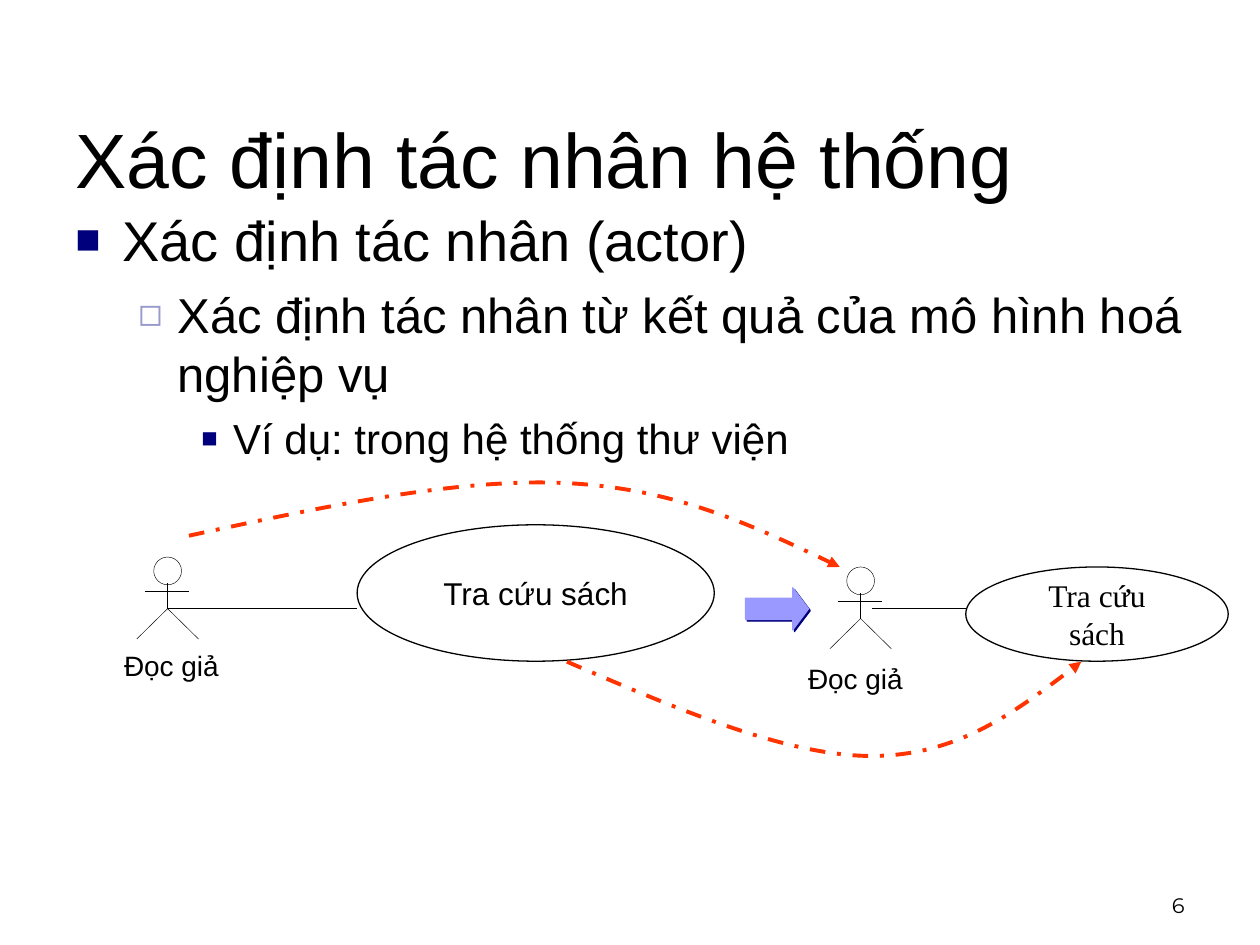
import dataclasses
import typing

import lxml.etree
import pptx
import pptx.dml.color
import pptx.enum.dml
import pptx.enum.shapes
import pptx.enum.text
import pptx.oxml.ns
import pptx.util

Cm, Pt = pptx.util.Cm, pptx.util.Pt
RGB = pptx.dml.color.RGBColor
KIND = pptx.enum.shapes.MSO_SHAPE
ALIGN = pptx.enum.text.PP_ALIGN
ANCHOR = pptx.enum.text.MSO_ANCHOR
qn = pptx.oxml.ns.qn

BLACK = RGB(0, 0, 0)
NAVY = RGB(0x00, 0x00, 0x7D)
LILAC = RGB(0x99, 0x99, 0xCC)
VIOLET = RGB(0x99, 0x99, 0xFF)
ORANGE = RGB(0xFF, 0x33, 0x00)

Point = tuple[float, float]
Box = tuple[float, float, float, float]


@dataclasses.dataclass
class Bullet:
    text: str
    size: int
    left: float
    hang: float
    before: int
    mark: str
    color: RGB
    scale: int


@dataclasses.dataclass
class Actor:
    mid: float
    top: float
    label: Point


@dataclasses.dataclass
class Case:
    box: Box
    font: str
    wrap: bool


BULLETS = [
    Bullet("Xác định tác nhân (actor)", 32, 0.95, 0.95, 8, "■", NAVY, 75),
    Bullet("Xác định tác nhân từ kết quả của mô hình hoá nghiệp vụ",
           28, 2.06, 0.79, 7, "◻", LILAC, 80),
    Bullet("Ví dụ: trong hệ thống thư viện", 24, 3.18, 0.64, 6, "■", NAVY, 65),
]
ACTORS = [Actor(3.38, 11.23, (1.65, 13.08)), Actor(17.35, 11.43, (15.44, 13.34))]
CASES = [
    Case((7.2, 10.58, 7.2, 2.75), "Arial", False),
    Case((19.47, 11.43, 5.29, 1.9), "Times New Roman", True),
]
LINKS = [((3.38, 12.27), (7.2, 12.27)), ((17.58, 12.27), (19.47, 12.27))]
# Each curve is a start followed by triples of Bezier points
CURVES = [
    [(3.81, 10.8), (6.53, 10.21), (9.25, 9.63), (11.43, 9.74),
     (13.61, 9.85), (15.27, 10.64), (16.93, 11.43)],
    [(11.43, 13.34), (13.64, 14.29), (15.85, 15.24), (17.57, 15.24),
     (19.29, 15.24), (20.55, 14.29), (21.8, 13.34)],
]


def add(parent: typing.Any, tag: str, **attrs: typing.Any) -> typing.Any:
    values = {key: str(val) for key, val in attrs.items()}
    return lxml.etree.SubElement(parent, qn(tag), values)


def cms(values: typing.Iterable[float]) -> list[int]:
    return [Cm(val) for val in values]


def write(frame: typing.Any, text: str, size: int, font: str = "Arial",
          align: typing.Any = ALIGN.CENTER, **form: typing.Any) -> None:
    for key, val in form.items():
        setattr(frame, key, val)
    par = frame.paragraphs[0]
    par.alignment = align
    style(par, text, size, font)


def style(par: typing.Any, text: str, size: int, font: str) -> None:
    run = par.add_run()
    run.text = text
    for key, val in {"size": Pt(size), "name": font}.items():
        setattr(run.font, key, val)
    run.font.color.rgb = BLACK


def outline(shape: typing.Any, width: float, color: RGB = BLACK) -> None:
    shape.shadow.inherit = False
    shape.fill.background()
    shape.line.color.rgb = color
    shape.line.width = Pt(width)


def join(shapes: typing.Any, start: Point, end: Point, width: float) -> None:
    line = shapes.add_connector(pptx.enum.shapes.MSO_CONNECTOR.STRAIGHT,
                                *cms(start + end))
    line.line.color.rgb = BLACK
    line.line.width = Pt(width)
    add(line._element.spPr, "a:effectLst")


def trace(shapes: typing.Any, points: list[Point]) -> typing.Any:
    first, *rest = [cms(point) for point in points]
    pen = shapes.build_freeform(*first)
    pen.add_line_segments(rest, close=False)
    return pen.convert_to_shape()


def draw_actor(shapes: typing.Any, actor: Actor) -> None:
    x, top = actor.mid, actor.top
    parts = shapes.add_group_shape().shapes
    head = parts.add_shape(KIND.OVAL, *cms((x - 0.28, top, 0.56, 0.56)))
    outline(head, 0.25)
    join(parts, (x, top + 0.53), (x, top + 1.04), 0.25)
    join(parts, (x - 0.46, top + 0.69), (x + 0.43, top + 0.69), 0.25)
    hip, foot = top + 1.04, top + 1.65
    outline(trace(parts, [(x - 0.62, foot), (x, hip), (x + 0.62, foot)]), 0.25)
    label = shapes.add_textbox(*cms(actor.label + (3.61, 0.69)))
    write(label.text_frame, "Đọc giả", 16, word_wrap=True, margin_left=0,
          margin_right=0, margin_top=0, margin_bottom=0)


def draw_case(shapes: typing.Any, case: Case) -> None:
    oval = shapes.add_shape(KIND.OVAL, *cms(case.box))
    outline(oval, 0.75)
    write(oval.text_frame, "Tra cứu sách", 18, case.font,
          word_wrap=case.wrap, vertical_anchor=ANCHOR.MIDDLE)


def draw_curve(shapes: typing.Any, points: list[Point]) -> None:
    curve = trace(shapes, points)
    outline(curve, 2.25, ORANGE)
    curve.line.dash_style = pptx.enum.dml.MSO_LINE.DASH_DOT
    add(curve.line._get_or_add_ln(), "a:tailEnd", type="triangle")
    # Turn every three straight segments into one cubic Bezier
    steps = curve._element.xpath(".//a:lnTo")
    track = steps[0].getparent()
    for i in range(0, len(steps), 3):
        bend = add(track, "a:cubicBezTo")
        for step in steps[i:i + 3]:
            bend.append(step[0])
            track.remove(step)


def add_bullet(par: typing.Any, item: Bullet, level: int) -> None:
    par.level = level
    par.space_before = Pt(item.before)
    props = par._p.get_or_add_pPr()
    props.set("marL", str(Cm(item.left)))
    props.set("indent", str(-Cm(item.hang)))
    add(add(props, "a:buClr"), "a:srgbClr", val=item.color)
    add(props, "a:buSzPct", val=item.scale * 1000)
    add(props, "a:buFont", typeface="Arial")
    add(props, "a:buChar", char=item.mark)
    style(par, item.text, item.size, "Arial")


def main() -> None:
    deck = pptx.Presentation()
    deck.slide_width, deck.slide_height = cms((25.4, 19.05))
    slide = deck.slides.add_slide(deck.slide_layouts[5])
    shapes = slide.shapes

    # Title
    title = shapes.title
    title.left, title.top, title.width, title.height = cms((1.27, 1.27, 22.86, 3.81))
    write(title.text_frame, "Xác định tác nhân hệ thống", 44, align=ALIGN.LEFT,
          vertical_anchor=ANCHOR.MIDDLE)

    # Bullets
    body = shapes.add_textbox(*cms((1.27, 4.01, 22.86, 10.8))).text_frame
    body.word_wrap = True
    for level, item in enumerate(BULLETS):
        par = body.add_paragraph() if level else body.paragraphs[0]
        add_bullet(par, item, level)

    # Slide number
    number = shapes.add_textbox(*cms((18.21, 17.35, 5.92, 1.27)))
    write(number.text_frame, "6", 12, "Montserrat", ALIGN.RIGHT,
          word_wrap=True, vertical_anchor=ANCHOR.BOTTOM)

    # Actors, use cases and their links
    for actor, case, link in zip(ACTORS, CASES, LINKS):
        draw_actor(shapes, actor)
        draw_case(shapes, case)
        join(shapes, *link, 0.75)

    # Block arrow with a hard shadow
    arrow = shapes.add_shape(KIND.RIGHT_ARROW, *cms((15.03, 11.85, 1.27, 0.85)))
    arrow.adjustments[1] = 0.375
    outline(arrow, 0.75, VIOLET)
    arrow.fill.solid()
    arrow.fill.fore_color.rgb = VIOLET
    effects = arrow._element.spPr.find(qn("a:effectLst"))
    shade = add(effects, "a:outerShdw", dist=Pt(1.4), dir=45 * 60000, rotWithShape=0)
    add(shade, "a:srgbClr", val=NAVY)

    # Dashed mapping curves
    for points in CURVES:
        draw_curve(shapes, points)

    deck.save("out.pptx")


if __name__ == "__main__":
    main()
